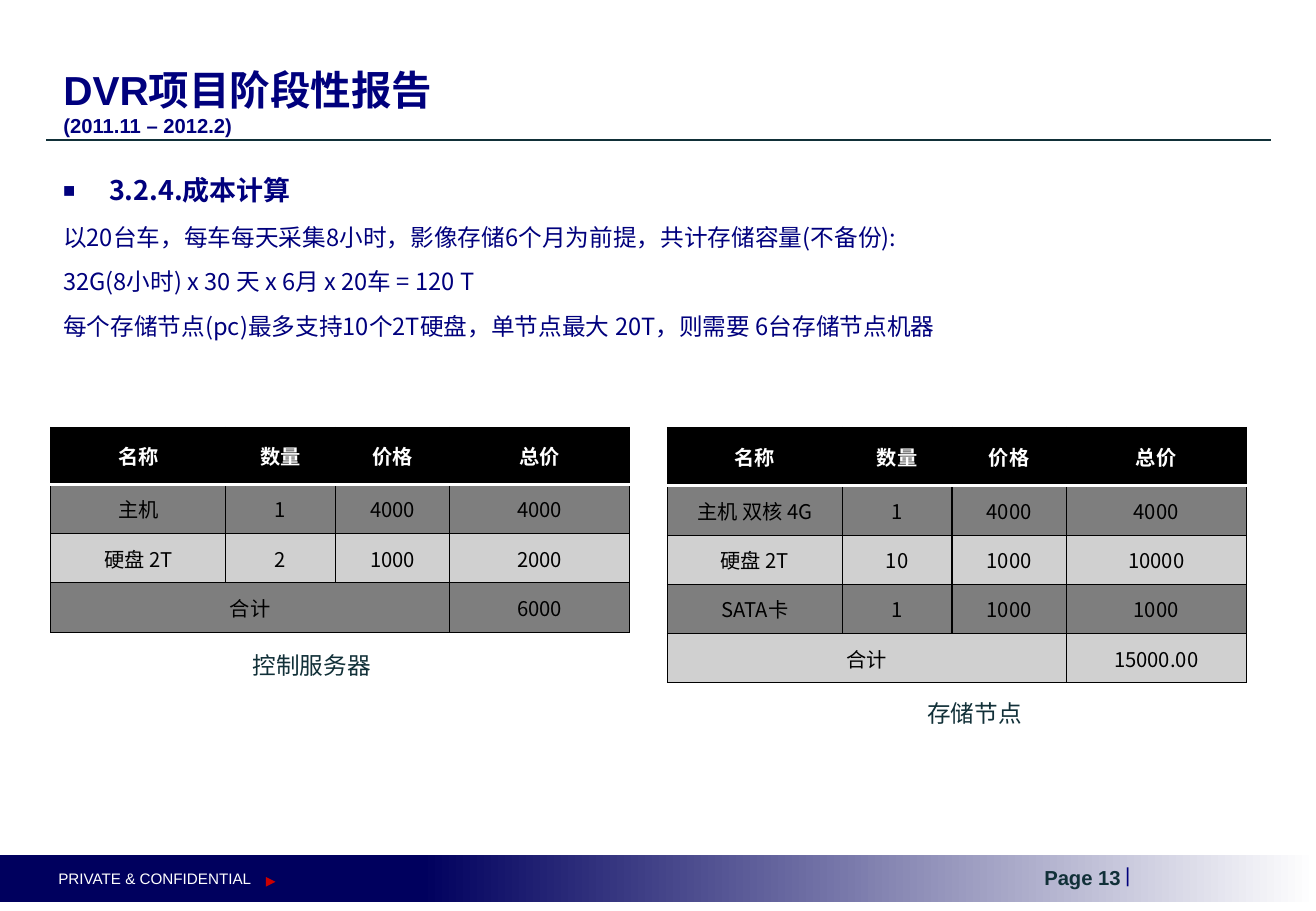
from lxml import etree
from pptx import Presentation
from pptx import util as u
from pptx.dml.color import RGBColor
from pptx.enum import shapes, text
from pptx.oxml import ns

COLORS = {
    "navy": "00007D", "band": "00005E", "teal": "113038", "red": "CC0000",
    "white": "FFFFFF", "black": "000000", "dark": "7E7E7E", "light": "D0D0D0",
}
CJK = "Noto Sans CJK SC"
COL_WIDTHS = (3.66, 2.29, 2.39, 3.76)
HEADER = ("名称", "数量", "价格", "总价")
CONTROL_ROWS = (
    ("主机", "1", "4000", "4000"),
    ("硬盘 2T", "2", "1000", "2000"),
    ("合计", "", "", "6000"),
)
STORAGE_ROWS = (
    ("主机 双核 4G", "1", "4000", "4000"),
    ("硬盘 2T", "10", "1000", "10000"),
    ("SATA卡", "1", "1000", "1000"),
    ("合计", "", "", "15000.00"),
)
BODY_LINES = (
    "以20台车，每车每天采集8小时，影像存储6个月为前提，共计存储容量(不备份):",
    "32G(8小时) x 30 天 x 6月 x 20车 = 120 T",
    "每个存储节点(pc)最多支持10个2T硬盘，单节点最大 20T，则需要 6台存储节点机器",
)


def rgb(name):
    return RGBColor.from_string(COLORS[name])


def box(left, top, width, height):
    return [u.Cm(v) for v in (left, top, width, height)]


def sub(parent, tag, **attrs):
    return etree.SubElement(parent, ns.qn(tag), attrs)


def write(p, content, size=14, color="navy", bold=False, font=CJK, align=None):
    r = p.add_run()
    r.text = content
    r.font.size = u.Pt(size)
    r.font.bold = bold
    r.font.name = font
    r.font.color.rgb = rgb(color)
    sub(r.font._element, "a:ea", typeface=CJK)
    if align is not None:
        p.alignment = align


def add_text(s, area, content, wrap=False, **fmt):
    tf = s.shapes.add_textbox(*box(*area)).text_frame
    tf.word_wrap = wrap
    write(tf.paragraphs[0], content, **fmt)


def add_shape(s, kind, area):
    sp = s.shapes.add_shape(kind, *box(*area))
    sp.shadow.inherit = False
    sp.line.fill.background()
    return sp


def add_rule(s, left, right, y):
    line = s.shapes.add_connector(
        shapes.MSO_CONNECTOR.STRAIGHT, u.Cm(left), u.Cm(y), u.Cm(right), u.Cm(y))
    line.line.color.rgb = rgb("teal")
    line.line.width = u.Pt(1.25)
    sub(line._element.spPr, "a:effectLst")


def add_footer(s):
    band = add_shape(s, shapes.MSO_SHAPE.RECTANGLE, (0, 17.88, 27.51, 0.99))
    band.fill.gradient()
    band.fill.gradient_angle = 0
    stops = band.fill.gradient_stops
    for stop, position, color in zip(stops, (0.32, 1), ("band", "white")):
        stop.position = position
        stop.color.rgb = rgb(color)
    add_text(s, (21.56, 17.98, 2.26, 0.76), "Page 13 ", size=12, color="teal",
             bold=True, font="Arial", align=text.PP_ALIGN.CENTER)
    add_text(s, (23.27, 17.91, 0.61, 0.76), "|", size=12, font="Arial")
    add_text(s, (0.97, 18.06, 4.6, 0.66), "PRIVATE & CONFIDENTIAL", wrap=True,
             size=9, color="white", font="Arial")
    marker = add_shape(s, shapes.MSO_SHAPE.PENTAGON, (5.56, 18.34, 0.2, 0.2))
    marker.adjustments[0] = 1
    marker.fill.solid()
    marker.fill.fore_color.rgb = rgb("red")


def add_title(s):
    sp = s.shapes.title
    sp.left, sp.top, sp.width, sp.height = box(1.07, 1.19, 25.4, 1.85)
    tf = sp.text_frame
    tf.auto_size = text.MSO_AUTO_SIZE.NONE
    tf.vertical_anchor = text.MSO_ANCHOR.MIDDLE
    p = tf.paragraphs[0]
    write(p, "DVR项目阶段性报告", size=24, bold=True, font="Arial",
          align=text.PP_ALIGN.LEFT)
    p.add_line_break()
    write(p, "(2011.11 – 2012.2)", size=12, bold=True, font="Arial")


def add_body(s):
    tf = s.shapes.add_textbox(*box(1.07, 3.38, 19.46, 4.37)).text_frame
    tf.word_wrap = True
    for i, line in enumerate(("3.2.4.成本计算",) + BODY_LINES):
        p = tf.add_paragraph() if i else tf.paragraphs[0]
        p.line_spacing = 1.2
        p.space_before = u.Pt(4.2 if i else 0)
        p.space_after = u.Pt(2.1)
        pPr = p._p.get_or_add_pPr()
        pPr.set("marL", str(u.Cm(0.96)))
        pPr.set("indent", str(-u.Cm(0.96)))
        if i == 0:
            sub(sub(pPr, "a:buClr"), "a:srgbClr", val=COLORS["navy"])
            sub(pPr, "a:buSzPct", val="75000")
            sub(pPr, "a:buFont", typeface="Arial")
            sub(pPr, "a:buChar", char="■")
        else:
            sub(pPr, "a:buNone")
        write(p, line, size=14 if i else 16, bold=i == 0)


def set_border(cell, side, color, width):
    ln = sub(cell._tc.get_or_add_tcPr(), "a:ln" + side, w=str(u.Pt(width)))
    sub(sub(ln, "a:solidFill"), "a:srgbClr", val=COLORS[color])


def add_cost_table(s, left, header_height, rows):
    row_height = 1.03
    area = (left, 8.94, sum(COL_WIDTHS), header_height + row_height * len(rows))
    tbl = s.shapes.add_table(len(rows) + 1, len(COL_WIDTHS), *box(*area)).table
    tbl.horz_banding = False
    for col, width in zip(tbl.columns, COL_WIDTHS):
        col.width = u.Cm(width)
    for i, values in enumerate((HEADER,) + rows):
        tbl.rows[i].height = u.Cm(row_height if i else header_height)
        fill = "black" if i == 0 else ("dark" if i % 2 else "light")
        for j, value in enumerate(values):
            cell = tbl.cell(i, j)
            cell.vertical_anchor = text.MSO_ANCHOR.MIDDLE
            for side in "LRTB":
                header_edge = (i, side) in ((0, "B"), (1, "T"))
                set_border(cell, side, *(("white", 2) if header_edge else ("black", 0.75)))
            cell.fill.solid()
            cell.fill.fore_color.rgb = rgb(fill)
            if value:
                write(cell.text_frame.paragraphs[0], value, size=12, bold=i == 0,
                      color="black" if i else "white", align=text.PP_ALIGN.CENTER)
    tbl.cell(len(rows), 0).merge(tbl.cell(len(rows), 2))


def main():
    prs = Presentation()
    prs.slide_width, prs.slide_height = u.Cm(27.51), u.Cm(19.05)
    s = prs.slides.add_slide(prs.slide_layouts[5])
    add_footer(s)
    add_rule(s, 0.97, 26.57, 2.92)
    add_title(s)
    add_body(s)
    add_cost_table(s, 13.95, 1.22, STORAGE_ROWS)
    add_text(s, (19.13, 14.48, 2.51, 0.86), "存储节点", color="teal")
    add_cost_table(s, 1.06, 1.19, CONTROL_ROWS)
    add_text(s, (5.03, 13.49, 3, 0.86), "控制服务器", color="teal")
    prs.save("out.pptx")


main()
